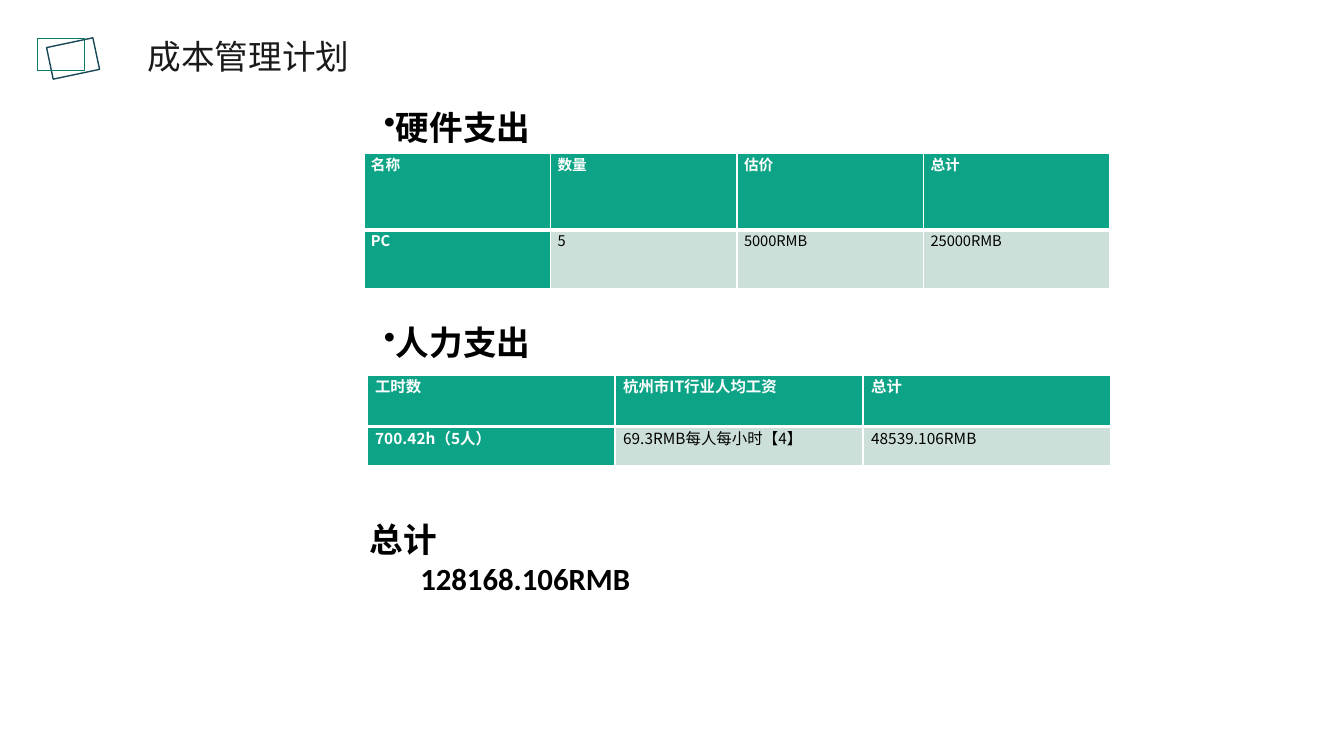
import pptx
import pptx.dml.color
import pptx.enum.shapes
import pptx.enum.text
import pptx.oxml.ns
import pptx.util
from lxml import etree

Inches = pptx.util.Inches
Pt = pptx.util.Pt
RGB = pptx.dml.color.RGBColor.from_string
ALIGN = pptx.enum.text.PP_ALIGN
ANCHOR = pptx.enum.text.MSO_ANCHOR
qn = pptx.oxml.ns.qn

COLORS = {
    "title": "1A1A1A", "text": "000000", "white": "FFFFFF",
    "green": "0DA386", "pale": "CCE0D9",
    "navy frame": "184858", "green frame": "0A7A64",
}
CJK = "Noto Sans CJK SC"


def style(paragraph, size, color, bold=False, name=CJK):
    """Set the paragraph's font for both Latin and East Asian letters."""
    font = paragraph.font
    font.size, font.bold, font.name = Pt(size), bold, name
    font.color.rgb = RGB(COLORS[color])
    latin = paragraph._p.pPr.find(qn("a:defRPr")).find(qn("a:latin"))
    east_asian = etree.Element(qn("a:ea"), typeface=name)
    latin.addnext(east_asian)


def add_border(cell, side, width):
    line = etree.SubElement(cell._tc.get_or_add_tcPr(), qn(f"a:ln{side}"), w=str(Pt(width)))
    fill = etree.SubElement(line, qn("a:solidFill"))
    etree.SubElement(fill, qn("a:srgbClr"), val=COLORS["white"])


deck = pptx.Presentation()
deck.slide_width, deck.slide_height = Inches(13.33), Inches(7.5)
slide = deck.slides.add_slide(deck.slide_layouts[5])

# Two overlapping frames beside the title
for left, top, rotation, color in [
    (0.49, 0.42, -11.9, "navy frame"),
    (0.37, 0.38, 0, "green frame"),
]:
    frame = slide.shapes.add_shape(
        pptx.enum.shapes.MSO_SHAPE.RECTANGLE,
        Inches(left), Inches(top), Inches(0.47), Inches(0.32))
    frame.rotation = rotation
    frame.shadow.inherit = False
    frame.fill.background()
    frame.line.color.rgb = RGB(COLORS[color])
    frame.line.width = Pt(1)

title = slide.shapes.title
title.left, title.top = Inches(0.99), Inches(0.31)
title.width, title.height = Inches(2.95), Inches(0.5)
title.text_frame.text = "成本管理计划"
title.text_frame.vertical_anchor = ANCHOR.TOP
title.text_frame.paragraphs[0].alignment = ALIGN.CENTER
style(title.text_frame.paragraphs[0], 24, "title")

# Cost tables: left, top, column width, row heights, size, side margin, rows
hardware = [["名称", "数量", "估价", "总计"],
            ["PC", "5", "5000RMB", "25000RMB"]]
labour = [["工时数", "杭州市IT行业人均工资", "总计"],
          ["700.42h（5人）", "69.3RMB每人每小时【4】", "48539.106RMB"]]
for left, top, column_width, row_heights, size, margin, rows in [
    (3.61, 1.52, 1.85, (0.76, 0.58), 10.5, 0.07, hardware),
    (3.64, 3.72, 2.46, (0.51, 0.39), 11, 0.08, labour),
]:
    costs = slide.shapes.add_table(
        len(rows), len(rows[0]), Inches(left), Inches(top),
        Inches(column_width * len(rows[0])), Inches(sum(row_heights))).table
    for column in costs.columns:
        column.width = Inches(column_width)
    for r, row in enumerate(rows):
        costs.rows[r].height = Inches(row_heights[r])
        for c, entry in enumerate(row):
            cell = costs.cell(r, c)
            heading = r == 0 or c == 0
            cell.margin_left = cell.margin_right = Inches(margin)
            cell.margin_top = cell.margin_bottom = 0
            for side in "LRTB":
                at_divider = (r, side) in [(0, "B"), (1, "T")]
                add_border(cell, side, 3 if at_divider else 1)
            cell.fill.solid()
            cell.fill.fore_color.rgb = RGB(COLORS["green" if heading else "pale"])
            cell.text = entry
            cell_text = cell.text_frame.paragraphs[0]
            cell_text.alignment = ALIGN.JUSTIFY
            style(cell_text, size, "white" if heading else "text", heading)

# Bulleted section headings
for top, heading in [(1.01, "硬件支出"), (3.14, "人力支出")]:
    section = slide.shapes.add_textbox(
        Inches(3.71), Inches(top), Inches(1.69), Inches(0.5)).text_frame
    section.word_wrap = False
    section.text = heading
    style(section.paragraphs[0], 24, "text", True)
    bullet = etree.Element(qn("a:buChar"), char="•")
    section.paragraphs[0]._p.pPr.insert(0, bullet)

# Grand total
total = slide.shapes.add_textbox(
    Inches(3.07), Inches(5.1), Inches(6.67), Inches(0.88)).text_frame
total.word_wrap = True
total.text = "总计\n128168.106RMB"
for paragraph, indent, size, name in zip(
        total.paragraphs, (0.5, 1), (24, 22), (CJK, "Calibri")):
    style(paragraph, size, "text", True, name)
    paragraph._p.pPr.set("marL", str(Inches(indent)))

deck.save("out.pptx")
